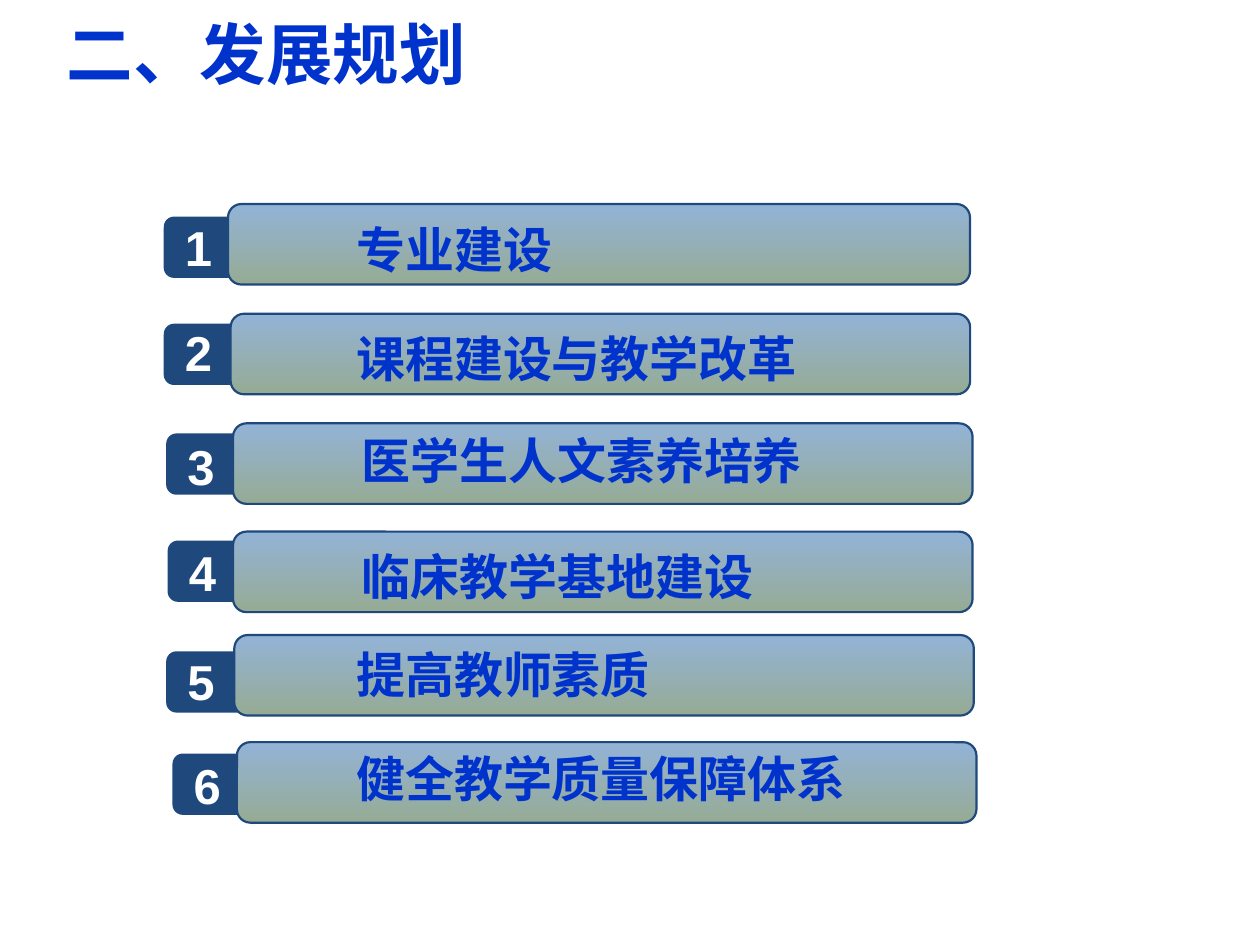
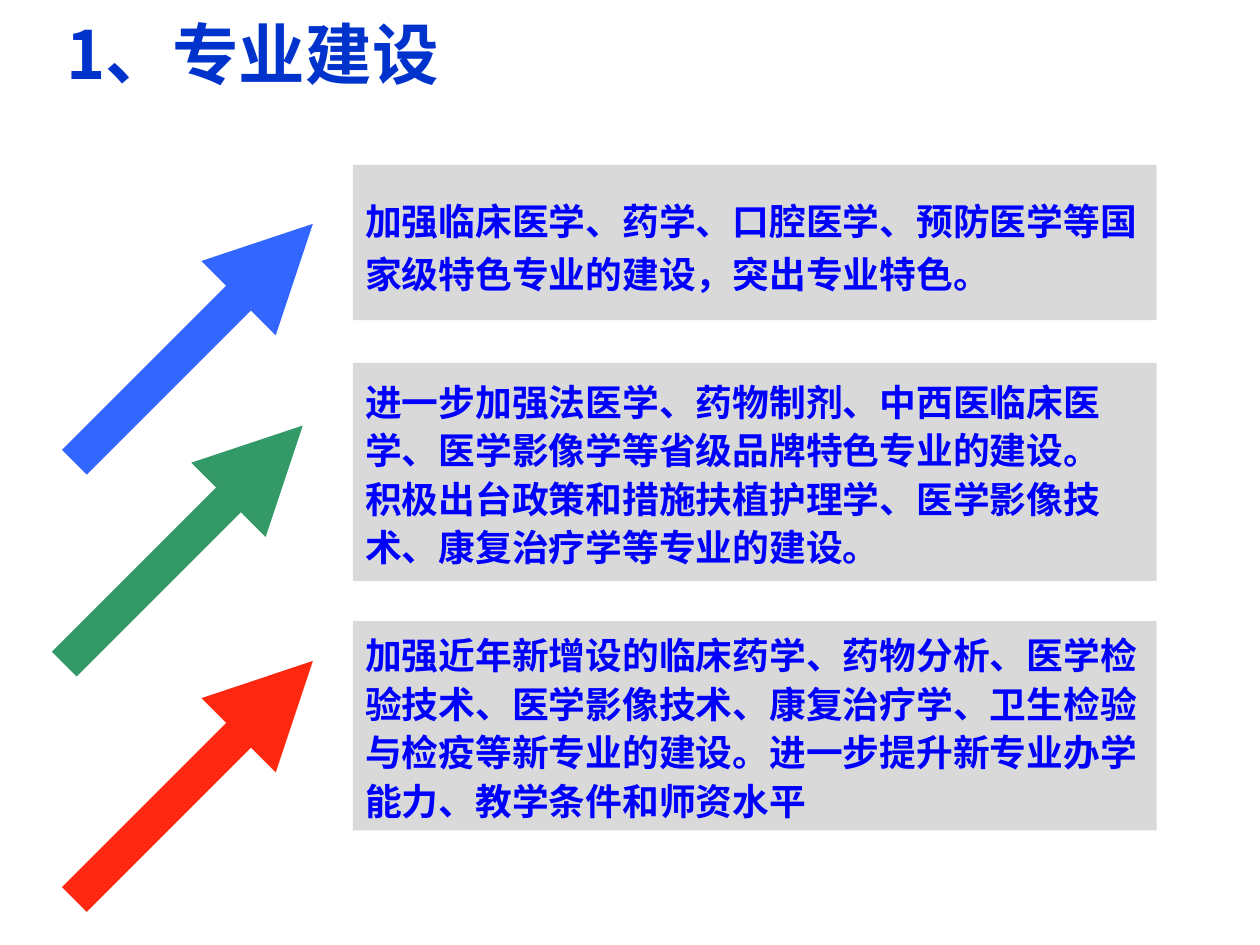
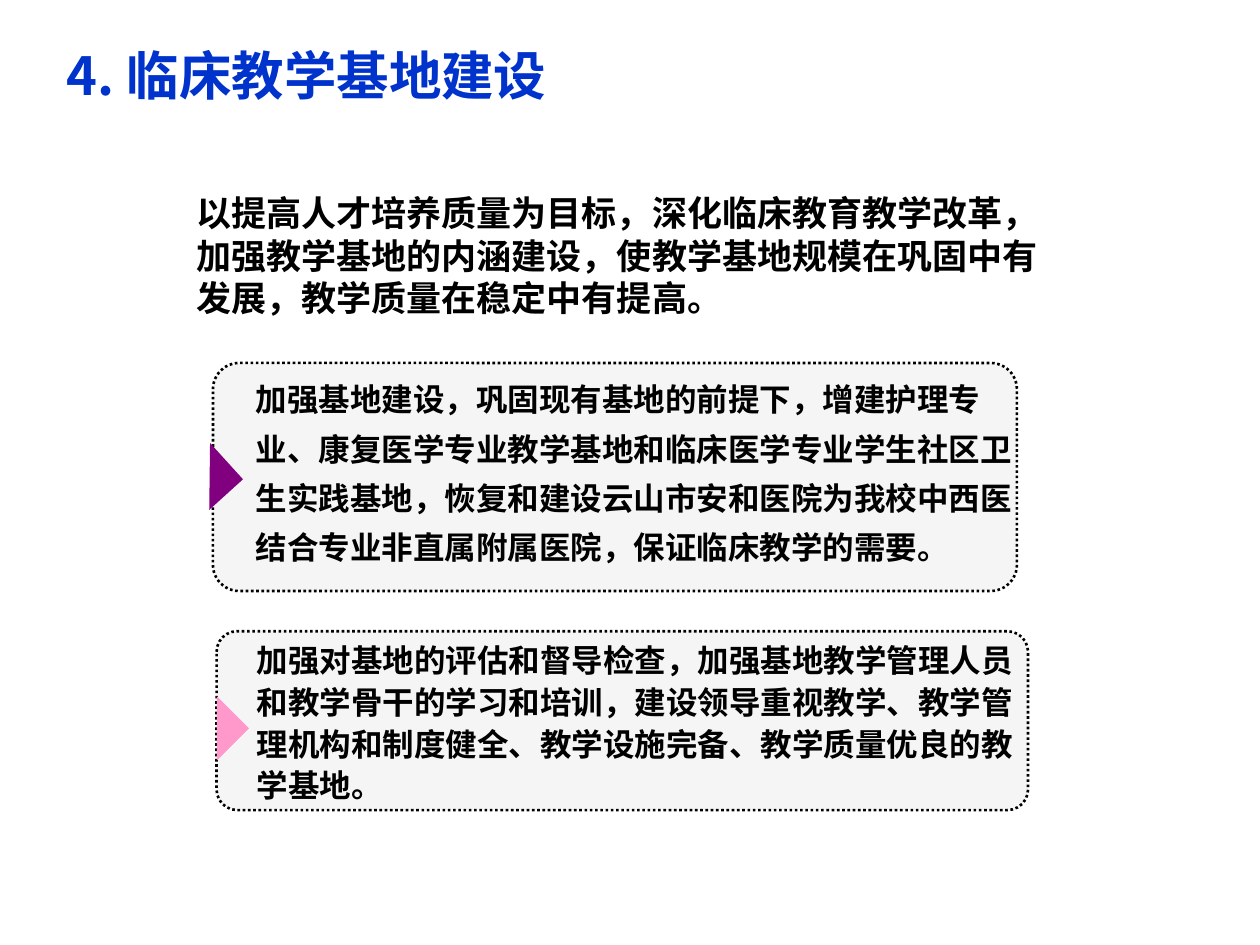
from lxml.etree import SubElement as sub
from pptx import Presentation
from pptx.dml.color import RGBColor as Rgb
from pptx.enum.dml import MSO_LINE as Dash
from pptx.enum.shapes import MSO_CONNECTOR as Conn, MSO_SHAPE as Kind
from pptx.enum.text import MSO_ANCHOR as Anchor, PP_ALIGN as Align
from pptx.oxml.ns import qn
from pptx.util import Pt

HUES = {
    "title": "0033CC", "navy": "1F497D", "sky": "93B3D7", "sage": "96AB94",
    "white": "FFFFFF", "black": "000000", "panel": "D9D9D9", "body": "0000FF",
    "blue": "3366FF", "green": "339966", "red": "FE2710",
    "smoke": "4D4D4D", "plum": "800080", "pink": "FF99CC",
}
CJK = "Noto Sans CJK SC"
LATIN = "Arial"
SERIF = "Times New Roman"
LEAD = 1.2

PLANS = [
    ("专业建设", 93.6, 123.8, 130.3, 116.6, 121, 196.5, 121.7),
    ("课程建设与教学改革", 93.6, 185, 131.8, 179.3, 180.7, 196.5, 184.3),
    ("医学生人文素养培养", 95, 247.7, 133.2, 241.9, 246.2, 199.5, 242.6),
    ("临床教学基地建设", 95.8, 308.9, 133.2, 303.8, 306.7, 199.5, 308.9),
    ("提高教师素质", 95, 372.2, 133.9, 362.9, 368.6, 196.5, 365),
    ("健全教学质量保障体系", 98.6, 430.6, 135.4, 424.1, 428.4, 196.5, 424.1),
]
PANELS = [
    (94.3, 88.6, 1.2, SERIF,
     ["加强临床医学、药学、口腔医学、预防医学等国家级特色专业的建设，突出专业特色。"]),
    (207.4, 124.6, 1.1, CJK,
     ["进一步加强法医学、药物制剂、中西医临床医学、医学影像学等省级品牌特色专业的建设。",
      "积极出台政策和措施扶植护理学、医学影像技术、康复治疗学等专业的建设。"]),
    (355, 119.5, 1.1, SERIF,
     ["加强近年新增设的临床药学、药物分析、医学检验技术、医学影像技术、康复治疗学、"
      "卫生检验与检疫等新专业的建设。进一步提升新专业办学能力、教学条件和师资水平"]),
]
ARROWS = [("red", 42.5, 514), ("green", 36.7, 379.5), ("blue", 42.5, 264.2)]
GOAL = ("以提高人才培养质量为目标，深化临床教育教学改革，加强教学基地的内涵建设，"
        "使教学基地规模在巩固中有发展，教学质量在稳定中有提高。")
BASES = [
    ((121.7, 207.4, 459.4, 130.3), (139, 207.4, 449.3, 119.5), 1.3,
     "plum", (105.8, 259.2, 28, 26), 227.8,
     "加强基地建设，巩固现有基地的前提下，增建护理专业、康复医学专业教学基地和"
     "临床医学专业学生社区卫生实践基地，恢复和建设云山市安和医院为我校中西医结合专业"
     "非直属附属医院，保证临床教学的需要。"),
    ((123.8, 360.7, 463.7, 102.2), (139.7, 360.7, 448.2, 102.2), 1.1,
     "pink", (110.9, 403.2, 26, 26), 225,
     "加强对基地的评估和督导检查，加强基地教学管理人员和教学骨干的学习和培训，"
     "建设领导重视教学、教学管理机构和制度健全、教学设施完备、教学质量优良的教学基地。"),
]


def rgb(hue):
    return Rgb.from_string(HUES[hue])


def write(shape, lines, size, hue, face=CJK, lead=1):
    frame = shape.text_frame
    frame.word_wrap = True
    frame.text = "\n".join(lines)
    for para in frame.paragraphs:
        para.alignment = Align.LEFT
        if face != LATIN or lead != 1:
            para.line_spacing = Pt(round(size * LEAD * lead, 1))
        font = para.font
        font.size = Pt(size)
        font.bold = True
        font.color.rgb = rgb(hue)
        font.name = face
        props = para._p.pPr
        props.set("hangingPunct", "0")
        sub(props.find(qn("a:defRPr")), qn("a:ea"), typeface=CJK)
    return frame


def label(slide, box, text, size, hue, face=CJK, lead=1):
    area = slide.shapes.add_textbox(*map(Pt, box))
    write(area, [text], size, hue, face, lead)


def title(slide, text, top=3.6, size=38):
    label(slide, (31, top, 380, size * 1.4), text, size, "title")


def block(slide, kind, box, hue):
    shape = slide.shapes.add_shape(kind, *map(Pt, box))
    shape.shadow.inherit = False
    shape.fill.solid()
    shape.fill.fore_color.rgb = rgb(hue)
    shape.line.fill.background()
    return shape


def bar(slide, box):
    shape = block(slide, Kind.ROUNDED_RECTANGLE, box, "sky")
    shape.fill.gradient()
    shape.fill.gradient_angle = 270
    for stop, hue, spot in zip(shape.fill.gradient_stops, ("sky", "sage"), (0, 1)):
        stop.color.rgb = rgb(hue)
        stop.position = spot
    shape.line.color.rgb = rgb("navy")
    shape.line.width = Pt(1.25)


def plan(slide, num, text, tabx, taby, barx, bary, numy, textx, texty):
    block(slide, Kind.ROUNDED_RECTANGLE, (tabx, taby, 75.4, 35), "navy")
    bar(slide, (barx, bary, 424 if num == 1 else 422.6, 46))
    label(slide, (tabx + 5, numy, 30, 41), str(num), 28, "white", LATIN)
    label(slide, (textx, texty, 350, 41), text, 28, "title")


def arrow(slide, hue, left, base, span=136.3):
    ends = (left, base, left + span, base - span)
    line = slide.shapes.add_connector(Conn.STRAIGHT, *map(Pt, ends))
    line.line.color.rgb = rgb(hue)
    line.line.width = Pt(20)
    props = line._element.spPr
    sub(props.find(qn("a:ln")), qn("a:tailEnd"), type="triangle")
    sub(props, qn("a:effectLst"))


def panel(slide, top, height, lead, face, lines):
    shape = block(slide, Kind.RECTANGLE, (201.6, top, 459.4, height), "panel")
    frame = write(shape, lines, 21, "body", face, lead)
    frame.vertical_anchor = Anchor.MIDDLE


def card(slide, box):
    shape = block(slide, Kind.ROUNDED_RECTANGLE, box, "smoke")
    shape.adjustments[0] = 0.115
    tint = shape._element.spPr.find(qn("a:solidFill"))[0]
    sub(tint, qn("a:alpha"), val="5000")
    shape.line.color.rgb = rgb("black")
    shape.line.width = Pt(1.5)
    shape.line.dash_style = Dash.ROUND_DOT


def base(slide, box, area, lead, hue, mark, turn, text):
    card(slide, box)
    block(slide, Kind.RIGHT_TRIANGLE, mark, hue).rotation = turn
    label(slide, area, text, 18, "black", LATIN, lead)


def main():
    deck = Presentation()
    deck.slide_width, deck.slide_height = Pt(720), Pt(540)
    first, second, third = (
        deck.slides.add_slide(deck.slide_layouts[6]) for _ in range(3))

    title(first, "二、发展规划")
    for num, row in enumerate(PLANS, 1):
        plan(first, num, *row)

    title(second, "1、专业建设")
    for row in ARROWS:
        arrow(second, *row)
    for row in PANELS:
        panel(second, *row)

    title(third, "4. 临床教学基地建设", 20.9, 30)
    label(third, (105.1, 105.8, 499, 79.2), GOAL, 20, "black", LATIN, 1.01)
    for row in BASES:
        base(third, *row)

    deck.save("out.pptx")


if __name__ == "__main__":
    main()
